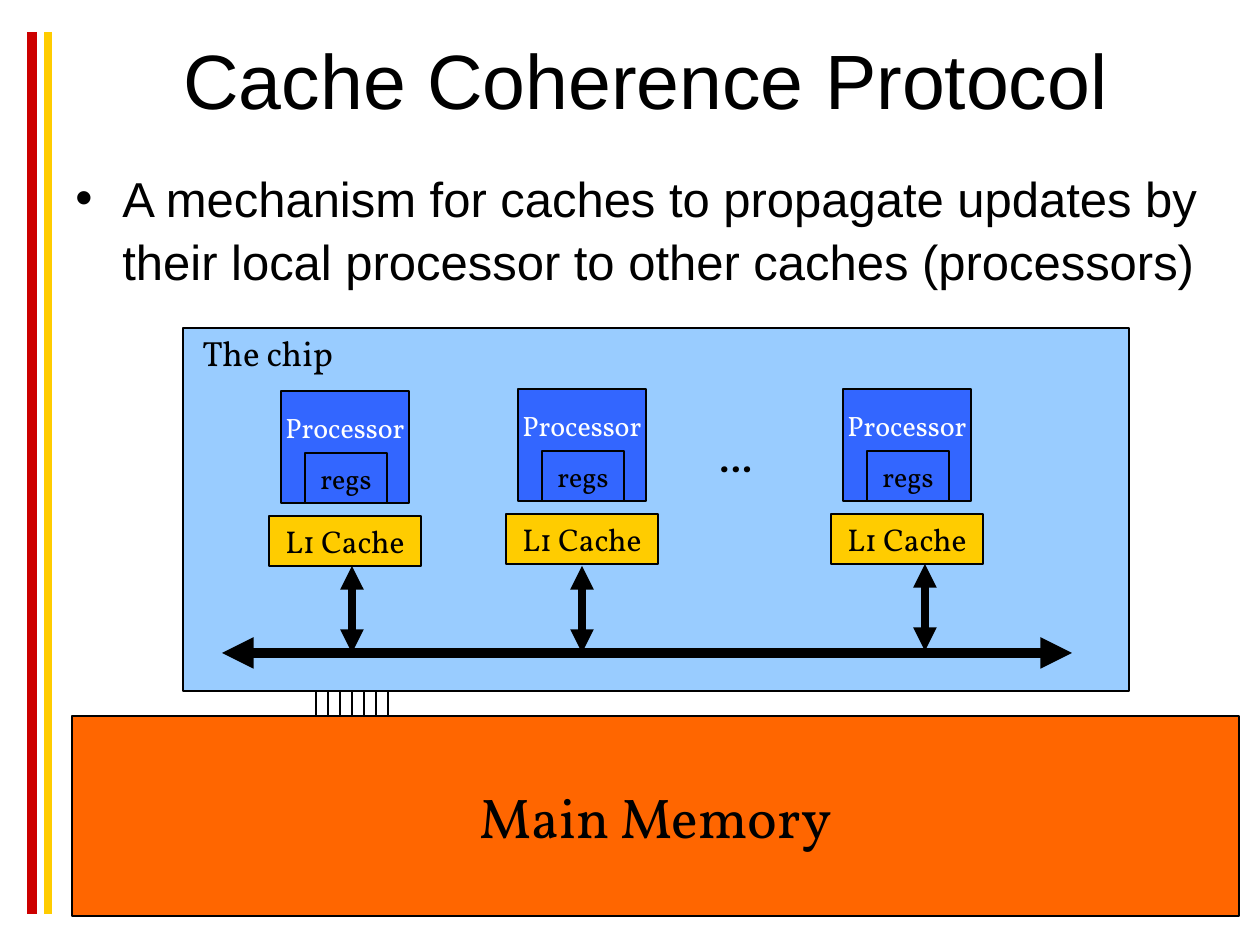
from pptx import Presentation
from pptx.dml.color import RGBColor
from pptx.enum.shapes import MSO_CONNECTOR, MSO_SHAPE
from pptx.enum.text import MSO_ANCHOR, PP_ALIGN
from pptx.oxml.ns import qn
from pptx.util import Pt
from lxml.etree import SubElement

PX = 914400 / 126
BLACK = RGBColor(0x00, 0x00, 0x00)
WHITE = RGBColor(0xFF, 0xFF, 0xFF)
RED = RGBColor(0xCC, 0x00, 0x00)
YELLOW = RGBColor(0xFF, 0xCC, 0x00)
SKY = RGBColor(0x99, 0xCC, 0xFF)
BLUE = RGBColor(0x33, 0x66, 0xFF)
ORANGE = RGBColor(0xFF, 0x66, 0x00)


def add_block(area, text="", size=16, color=BLACK, fill=None, boxed=True, font="Vollkorn",
              bold=False, **frame_format):
    """Add a text block, outlined when boxed, and return its paragraph."""
    place = [round(v * PX) for v in area]
    if boxed:
        block = slide.shapes.add_shape(MSO_SHAPE.RECTANGLE, *place)
        block.shadow.inherit = False
        block.line.color.rgb = BLACK
        block.line.width = Pt(0.75)
        if fill is None:
            block.fill.background()
        else:
            block.fill.solid()
            block.fill.fore_color.rgb = fill
    else:
        block = slide.shapes.add_textbox(*place)
    frame = block.text_frame
    defaults = {"word_wrap": False,
                "vertical_anchor": MSO_ANCHOR.MIDDLE if boxed else MSO_ANCHOR.TOP}
    for name, value in (defaults | frame_format).items():
        setattr(frame, name, value)
    paragraph = frame.paragraphs[0]
    paragraph.alignment = PP_ALIGN.CENTER if boxed else PP_ALIGN.LEFT
    if text:
        run = paragraph.add_run()
        run.text = text
        for name, value in {"name": font, "size": Pt(size), "bold": bold}.items():
            setattr(run.font, name, value)
        run.font.color.rgb = color
    return paragraph


def add_line(x1, y1, x2, y2, width=0.75, color=BLACK, arrows=False):
    ends = [round(v * PX) for v in (x1, y1, x2, y2)]
    line = slide.shapes.add_connector(MSO_CONNECTOR.STRAIGHT, *ends)
    line.line.width = Pt(width)
    line.line.color.rgb = color
    if arrows:
        for end in ("a:headEnd", "a:tailEnd"):
            SubElement(line.line._get_or_add_ln(), qn(end), type="triangle")
    SubElement(line._element.spPr, qn("a:effectLst"))


deck = Presentation()
deck.slide_width = round(1260 * PX)
deck.slide_height = round(945 * PX)
slide = deck.slides.add_slide(deck.slide_layouts[6])

# Side stripes
add_line(32, 32, 32, 914, 6, RED)
add_line(48, 32, 48, 914, 4.5, YELLOW)

# Title and definition
title = add_block((63, 32, 1166, 94), "Cache Coherence Protocol", 44, boxed=False, font="Arial",
                  word_wrap=True, vertical_anchor=MSO_ANCHOR.MIDDLE)
title.alignment = PP_ALIGN.CENTER

definition = add_block(
    (63, 158, 1176, 150),
    "A mechanism for caches to propagate updates by their local processor "
    "to other caches (processors)",
    28, boxed=False, font="Arial", word_wrap=True)
definition.line_spacing = 1.07
bullet_format = definition._p.get_or_add_pPr()
bullet_format.set("marL", str(round(47 * PX)))
bullet_format.set("indent", str(round(-47 * PX)))
SubElement(bullet_format, qn("a:buFont"), typeface="Arial")
SubElement(bullet_format, qn("a:buChar"), char="•")

# Chip and main memory, joined by wires
add_block((183, 328, 946, 363), fill=SKY)
add_block((190, 325, 160, 55), "The chip", 20, boxed=False)
add_block((72, 716, 1167, 200), "Main Memory", 32, fill=ORANGE)
for wire in range(7):
    x = 316 + 12 * wire
    add_line(x, 691, x, 716)

# Cores: processor, registers, cache and link to the bus
for left, top, link_x, link_top in ((281, 391, 352, 566), (518, 389, 582, 566),
                                    (843, 389, 925, 564)):
    add_block((left, top, 128, 112), "Processor", 16, WHITE, BLUE,
              margin_bottom=round(45 * PX))
    add_block((left + 24, top + 62, 82, 50), "regs", 16)
    add_block((left - 12, top + 125, 152, 50), "L1 Cache", 18, fill=YELLOW)
    add_line(link_x, link_top, link_x, link_top + 87, 4.5, arrows=True)
add_block((707, 431, 60, 55), "…", 20, boxed=False, bold=True)

# Bus
add_line(222, 653, 1072, 653, 6, arrows=True)

deck.save("out.pptx")
